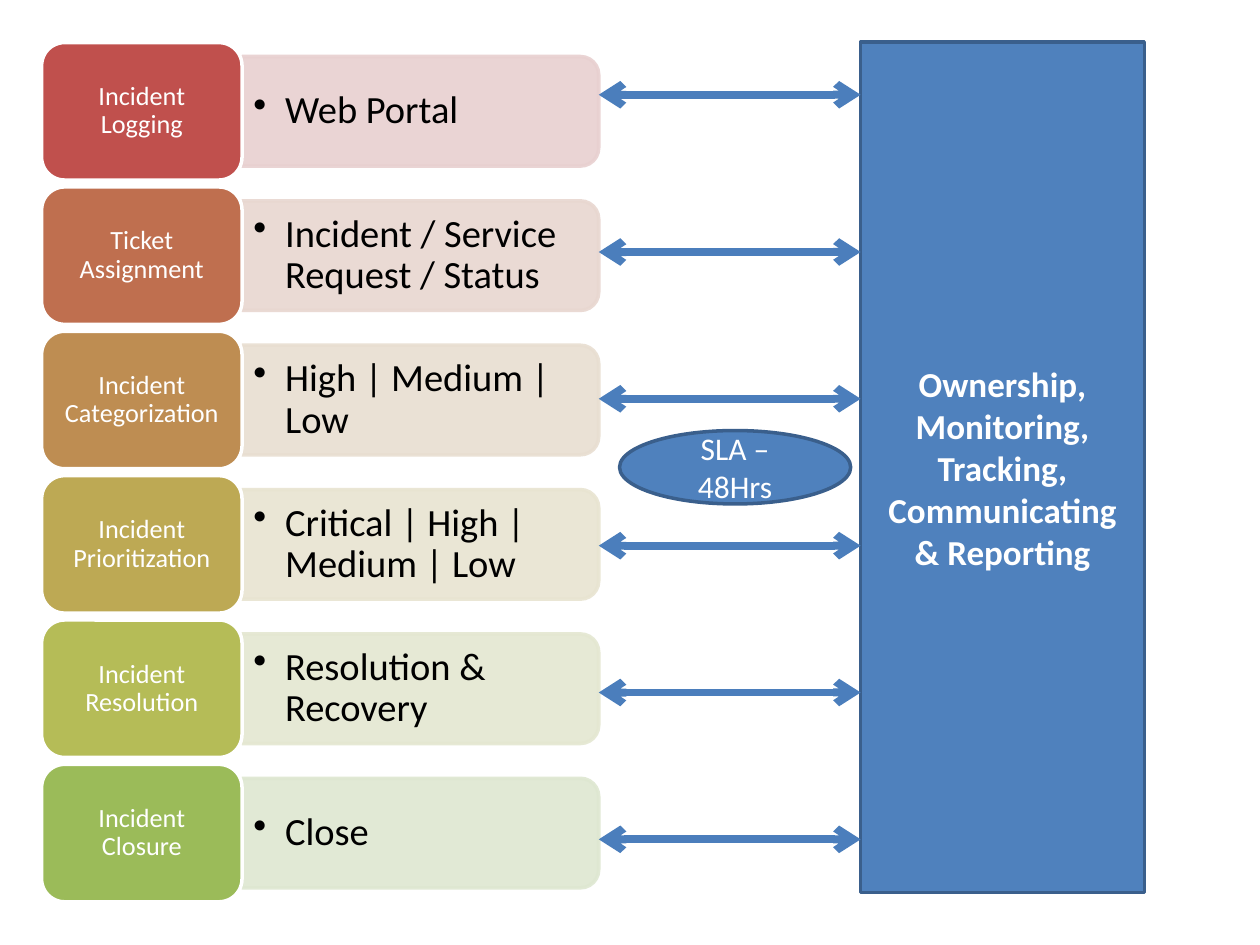
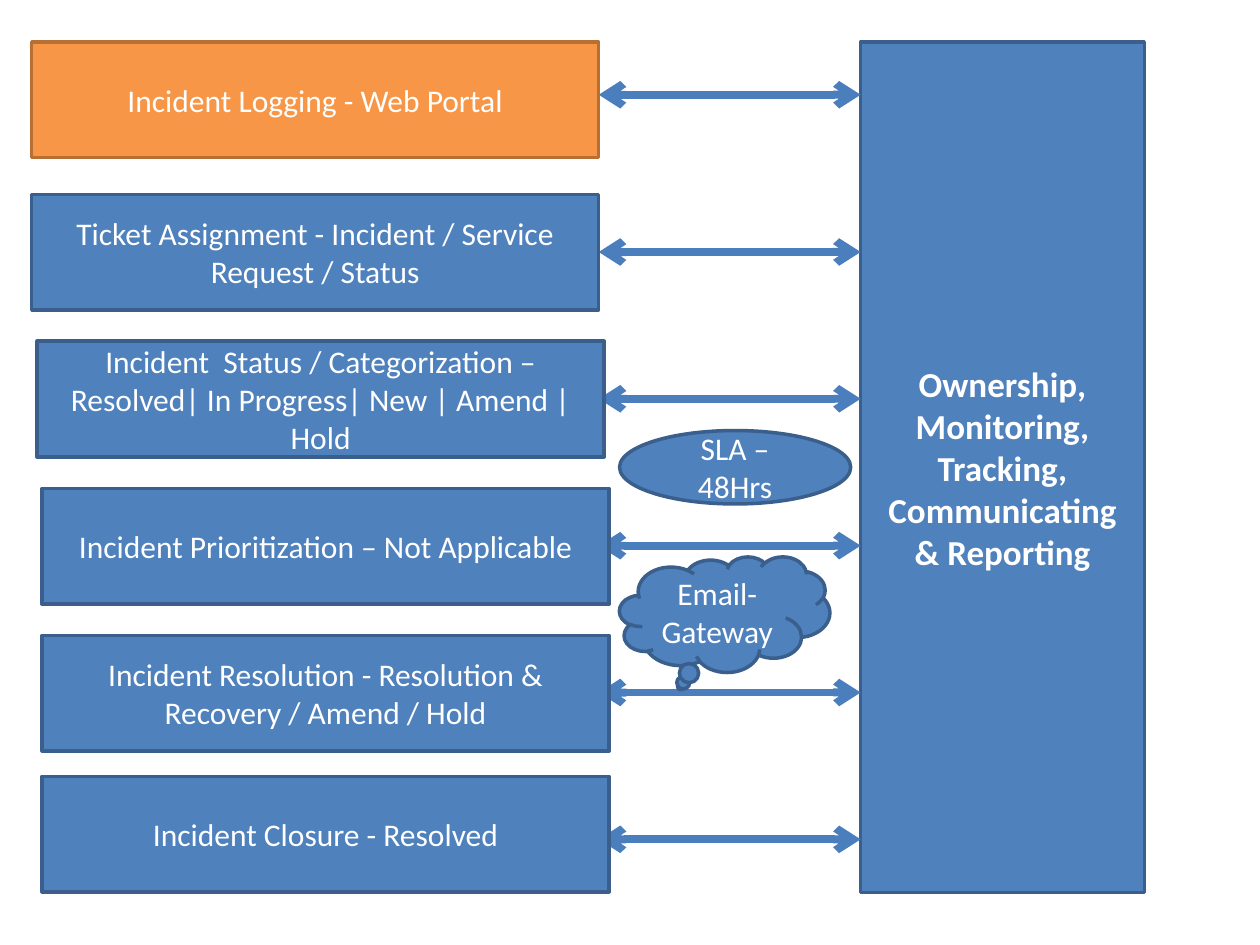
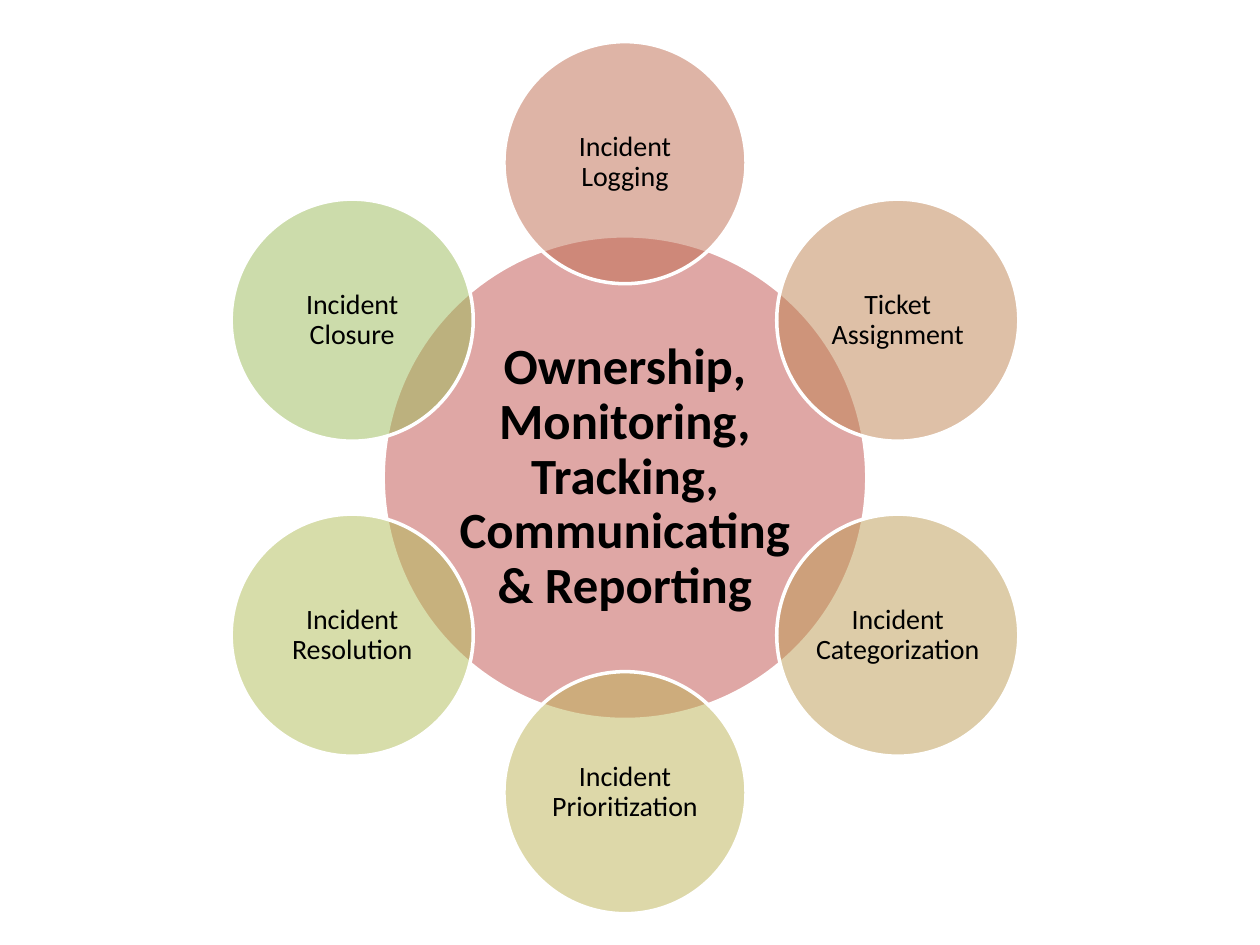
from math import cos, radians, sin

from pptx import Presentation
from pptx.dml.color import RGBColor
from pptx.enum.shapes import MSO_CONNECTOR, MSO_SHAPE
from pptx.enum.text import MSO_ANCHOR, PP_ALIGN
from pptx.oxml.ns import qn
from pptx.oxml.xmlchemy import OxmlElement as Element
from pptx.util import Cm, Pt

# Colours and font
WHITE = RGBColor(0xFF, 0xFF, 0xFF)
BLACK = RGBColor(0x00, 0x00, 0x00)
BLUE = RGBColor(0x4F, 0x81, 0xBD)
BLUE_EDGE = RGBColor(0x3A, 0x5F, 0x8C)
BLUE_ARROW = RGBColor(0x4B, 0x7E, 0xBC)
ORANGE = RGBColor(0xF7, 0x96, 0x46)
ORANGE_EDGE = RGBColor(0xB7, 0x6F, 0x34)
RED = RGBColor(0xC0, 0x50, 0x4D)
FONT = "Calibri"

# Content
OVERSIGHT = "Ownership, Monitoring, Tracking, Communicating & Reporting"
SLA = "SLA – 48Hrs"
GATEWAY = "Email-Gateway"

# Stage, detail, tile colour, band colour, circle colour
STAGES = [
    ("Incident Logging", "Web Portal", "C0504D", "E8D0D0", "BF6A4F"),
    ("Ticket Assignment", "Incident / Service Request / Status",
     "BF6F4F", "E8D7D0", "BE8351"),
    ("Incident Categorization", "High | Medium | Low",
     "BE8D52", "E8DED1", "BD9B53"),
    ("Incident Prioritization", "Critical | High | Medium | Low",
     "BDA954", "E8E4D1", "BDB255"),
    ("Incident Resolution", "Resolution & Recovery",
     "B5BC57", "E4E7D1", "B1BC57"),
    ("Incident Closure", "Close", "9BBB59", "DEE7D1", "9BBB59"),
]

# Text, left, top, fill, edge
STEP_BOXES = [
    ("Incident Logging - Web Portal", 0.64, 0.85, ORANGE, ORANGE_EDGE),
    ("Ticket Assignment - Incident / Service Request / Status",
     0.64, 3.92, BLUE, BLUE_EDGE),
    ("Incident  Status / Categorization – Resolved| In Progress| New | Amend | Hold",
     0.75, 6.88, BLUE, BLUE_EDGE),
    ("Incident Prioritization – Not Applicable", 0.85, 9.85, BLUE, BLUE_EDGE),
    ("Incident Resolution - Resolution & Recovery / Amend / Hold",
     0.85, 12.81, BLUE, BLUE_EDGE),
    ("Incident Closure - Resolved", 0.85, 15.65, BLUE, BLUE_EDGE),
]

# Layout in centimetres
STEP_SIZE = (11.43, 2.33)
PANEL = (17.35, 0.85, 5.72, 17.14)
SLA_OVAL = (12.49, 8.68, 4.66, 1.48)
GATEWAY_CLOUD = (12.49, 11.22, 4.24, 2.33)
ARROW_START, ARROW_END = 12.07, 17.35
ARROW_ROWS = [1.91] + [5.08 + 2.96 * row for row in range(5)]
TILE_LEFT, TILE_TOP, TILE_PITCH = 0.84, 0.86, 2.91
TILE_WIDTH, TILE_HEIGHT = 4.04, 2.77
BAND_LENGTH, BAND_HEIGHT = 7.19, 2.21
DETAIL_WIDTH, DETAIL_HEIGHT = 7.06, 2.01
HUB_X, HUB_Y, HUB_SIZE = 12.6, 9.63, 9.75
ORBIT, CIRCLE_SIZE = 6.35, 4.88


def write(shape, text, size=18, color=WHITE, bold=False, insets=(0.25, 0.13),
          align=PP_ALIGN.CENTER, spacing=1.0):
    """Put one formatted paragraph in a shape and return the paragraph."""
    side, edge = map(Cm, insets)
    frame = shape.text_frame
    paragraph = frame.paragraphs[0]
    run = paragraph.add_run()
    run.text = text
    formats = [
        (frame, {"word_wrap": True, "vertical_anchor": MSO_ANCHOR.MIDDLE,
                 "margin_left": side, "margin_right": side,
                 "margin_top": edge, "margin_bottom": edge}),
        (paragraph, {"alignment": align, "line_spacing": spacing}),
        (run.font, {"name": FONT, "size": Pt(size), "bold": bold}),
    ]
    for target, values in formats:
        for name, value in values.items():
            setattr(target, name, value)
    run.font.color.rgb = color
    return paragraph


def add_shape(slide, kind, box, fill, edge, opacity=100, edge_opacity=100):
    shape = slide.shapes.add_shape(kind, *map(Cm, box))
    shape.shadow.inherit = False
    shape.fill.solid()
    shape.fill.fore_color.rgb = fill
    shape.line.color.rgb = edge
    shape.line.width = Pt(2)
    properties = shape.fill._xPr
    for parent, percent in ((properties, opacity),
                            (properties.find(qn("a:ln")), edge_opacity)):
        if percent < 100:
            alpha = Element("a:alpha")
            alpha.set("val", str(percent * 1000))
            parent.find(qn("a:solidFill"))[0].append(alpha)
    return shape


def add_arrow(slide, y):
    arrow = slide.shapes.add_connector(
        MSO_CONNECTOR.STRAIGHT, Cm(ARROW_START), Cm(y), Cm(ARROW_END), Cm(y))
    arrow.line.color.rgb = BLUE_ARROW
    arrow.line.width = Pt(4.5)
    for tag in ("a:headEnd", "a:tailEnd"):
        end = Element(tag)
        end.set("type", "arrow")
        arrow.line._ln.append(end)
    arrow._element.spPr.append(Element("a:effectLst"))


def add_oversight(slide):
    """Panel, arrows and SLA oval shared by the two process slides."""
    panel = add_shape(slide, MSO_SHAPE.RECTANGLE, PANEL, BLUE, BLUE_EDGE)
    write(panel, OVERSIGHT, size=20, bold=True)
    for y in ARROW_ROWS:
        add_arrow(slide, y)
    oval = add_shape(slide, MSO_SHAPE.OVAL, SLA_OVAL, BLUE, BLUE_EDGE)
    write(oval, SLA)


def add_stage_row(slide, row, stage, detail, tile_color, band_color):
    top = TILE_TOP + row * TILE_PITCH
    middle = top + TILE_HEIGHT / 2
    band_left = TILE_LEFT + TILE_WIDTH

    # The band is an upright shape turned on its side
    center = band_left + BAND_LENGTH / 2
    box = (center - BAND_HEIGHT / 2, middle - BAND_LENGTH / 2,
           BAND_HEIGHT, BAND_LENGTH)
    band = add_shape(slide, MSO_SHAPE.ROUND_2_SAME_RECTANGLE, box,
                     band_color, band_color, 90, 90)
    band.rotation = 90

    # Bulleted detail over the band
    detail_box = slide.shapes.add_textbox(
        Cm(band_left), Cm(middle - DETAIL_HEIGHT / 2),
        Cm(DETAIL_WIDTH), Cm(DETAIL_HEIGHT))
    paragraph = write(detail_box, detail, size=22, color=BLACK,
                      insets=(0.23, 0.13), align=PP_ALIGN.LEFT, spacing=0.9)
    paragraph.level = 1
    properties = paragraph._p.get_or_add_pPr()
    properties.set("marL", str(Cm(0.64)))
    properties.set("indent", str(-Cm(0.64)))
    bullet = Element("a:buChar")
    bullet.set("char", "•")
    properties.append(bullet)

    # Stage tile
    tile = add_shape(slide, MSO_SHAPE.ROUNDED_RECTANGLE,
                     (TILE_LEFT, top, TILE_WIDTH, TILE_HEIGHT), tile_color, WHITE)
    write(tile, stage, size=15, insets=(0.15, 0.08), spacing=0.9)


def add_circle(slide, x, y, diameter, color, text, size, inset, bold=False):
    box = (x - diameter / 2, y - diameter / 2, diameter, diameter)
    circle = add_shape(slide, MSO_SHAPE.OVAL, box, color, WHITE, opacity=50)
    write(circle, text, size, BLACK, bold, (inset, inset), spacing=0.9)


def build_stages(slide):
    for row, (stage, detail, tile, band, _) in enumerate(STAGES):
        add_stage_row(slide, row, stage, detail,
                      RGBColor.from_string(tile), RGBColor.from_string(band))
    add_oversight(slide)


def build_steps(slide):
    add_oversight(slide)
    for text, left, top, fill, edge in STEP_BOXES:
        step = add_shape(slide, MSO_SHAPE.RECTANGLE,
                         (left, top, *STEP_SIZE), fill, edge)
        write(step, text)
    cloud = add_shape(slide, MSO_SHAPE.CLOUD_CALLOUT, GATEWAY_CLOUD,
                      BLUE, BLUE_EDGE)
    write(cloud, GATEWAY)


def build_wheel(slide):
    add_circle(slide, HUB_X, HUB_Y, HUB_SIZE, RED, OVERSIGHT, 29, 0.1, bold=True)
    for index, (stage, *_, color) in enumerate(STAGES):
        angle = radians(index * 360 / len(STAGES))
        add_circle(slide, HUB_X + ORBIT * sin(angle), HUB_Y - ORBIT * cos(angle),
                   CIRCLE_SIZE, RGBColor.from_string(color), stage, 16, 0.05)


def main():
    presentation = Presentation()
    presentation.slide_width = Cm(25.4)
    presentation.slide_height = Cm(19.05)
    for build in (build_stages, build_steps, build_wheel):
        build(presentation.slides.add_slide(presentation.slide_layouts[6]))
    presentation.save("out.pptx")


if __name__ == "__main__":
    main()
